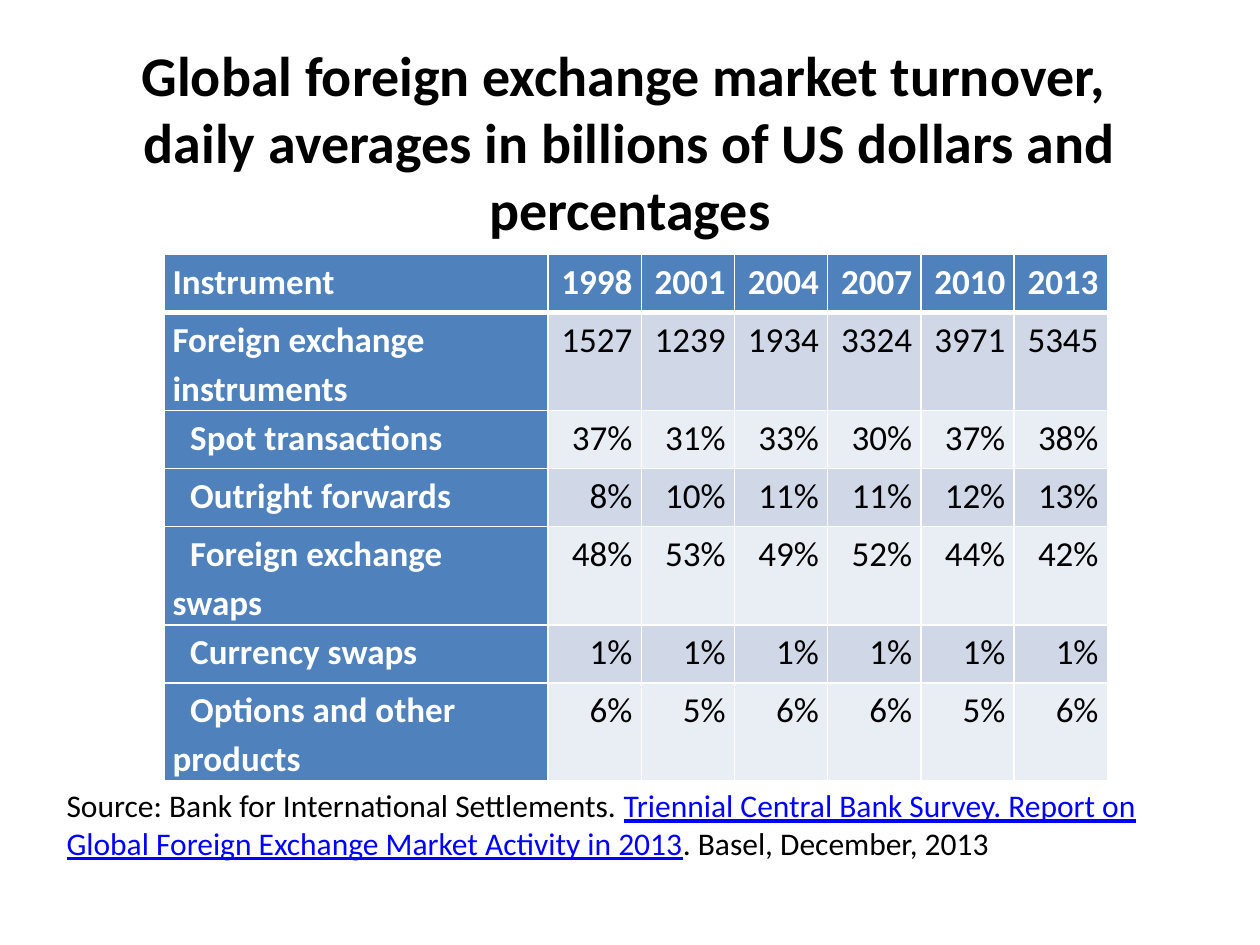
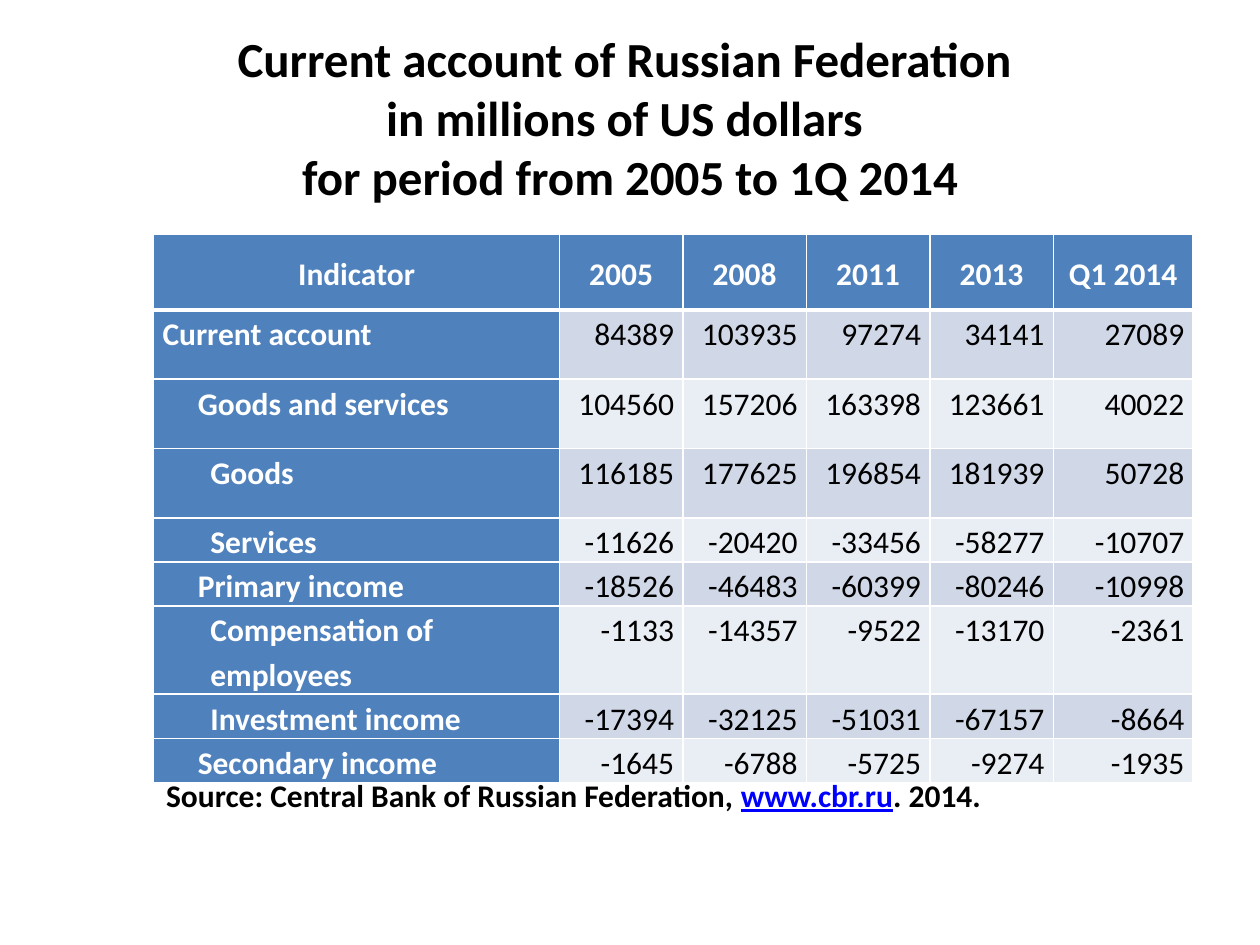
from dataclasses import dataclass

from lxml import etree
from pptx import Presentation
from pptx.dml.color import RGBColor
from pptx.enum.text import MSO_ANCHOR, PP_ALIGN
from pptx.oxml.ns import qn
from pptx.util import Inches, Pt

LEFT, MID, RIGHT = PP_ALIGN.LEFT, PP_ALIGN.CENTER, PP_ALIGN.RIGHT
TOP, CENTRE = MSO_ANCHOR.TOP, MSO_ANCHOR.MIDDLE


@dataclass(frozen=True)
class Theme:
    font: str = "Calibri"
    ink: str = "000000"
    white: str = "FFFFFF"
    head: str = "4F81BD"
    bands: tuple = ("D0D8E8", "E9EDF4")
    link: str = "0000FF"
    note: int = 18
    thin: int = 1
    thick: int = 3


T = Theme()


def write(frame, text, size=T.note, color=T.ink, bold=False, align=LEFT,
          space=1.0, left=0, first=0):
    """Fill a frame; text between bars is styled as a link, newlines break."""
    frame.word_wrap = True
    para = frame.paragraphs[0]
    para.alignment = align
    para.line_spacing = space
    props = para._p.get_or_add_pPr()
    props.set("marL", str(Inches(left)))
    props.set("indent", str(Inches(first)))
    for num, part in enumerate(text.split("|")):
        link = num % 2 == 1
        for row, line in enumerate(part.split("\n")):
            if row:
                para.add_line_break()
            run = para.add_run()
            run.text = line
            font = run.font
            font.name, font.size, font.bold = T.font, Pt(size), bold
            font.underline = link
            font.color.rgb = RGBColor.from_string(T.link if link else color)


def edge(cell, row):
    """Draw white cell borders, with a thick rule under the header row."""
    props = cell._tc.get_or_add_tcPr()
    for side in ("L", "R", "T", "B"):
        heavy = (row, side) in ((0, "B"), (1, "T"))
        line = etree.SubElement(props, qn(f"a:ln{side}"),
                                w=str(Pt(T.thick if heavy else T.thin)))
        fill = etree.SubElement(line, qn("a:solidFill"))
        etree.SubElement(fill, qn("a:srgbClr"), val=T.white)


# Each row holds its label, left margin, first-line indent, height and values.
forex = dict(
    title="Global foreign exchange market turnover, \n"
          "daily averages in billions of US dollars and percentages",
    title_size=32, title_high=1.64,
    at=(1.3, 2.02), cols=[3.05] + [0.74] * 6, size=20,
    head_align=(LEFT, RIGHT), head_anchor=TOP,
    rows=[
        ("Instrument", 0, 0, 0.46, "1998 2001 2004 2007 2010 2013".split()),
        ("Foreign exchange instruments", 0, 0, 0.78,
         "1527 1239 1934 3324 3971 5345".split()),
        ("Spot transactions", 0, 0.14, 0.46, "37% 31% 33% 30% 37% 38%".split()),
        ("Outright forwards", 0, 0.14, 0.46, "8% 10% 11% 11% 12% 13%".split()),
        ("Foreign exchange swaps", 0, 0.14, 0.78,
         "48% 53% 49% 52% 44% 42%".split()),
        ("Currency swaps", 0, 0.14, 0.46, ["1%"] * 6),
        ("Options and other products", 0, 0.14, 0.78,
         "6% 5% 6% 6% 5% 6%".split()),
    ],
    note="Source: Bank for International Settlements. |Triennial Central Bank "
         "Survey. Report on Global Foreign Exchange Market Activity in 2013|"
         ". Basel, December, 2013",
    note_at=(0.43, 6.19, 8.98, 0.71), note_bold=False)

account = dict(
    title="Current account of Russian Federation \n"
          "in millions of US dollars \nfor period from 2005 to 1Q 2014",
    title_size=28, title_high=1.25,
    at=(1.22, 1.86), cols=[3.22] + [0.98] * 4 + [1.11], size=18,
    head_align=(MID, MID), head_anchor=CENTRE,
    rows=[
        ("Indicator", 0, 0, 0.6, ["2005", "2008", "2011", "2013", "Q1 2014"]),
        ("Current account", 0, 0, 0.55,
         "84389 103935 97274 34141 27089".split()),
        ("Goods and services", 0, 0.28, 0.55,
         "104560 157206 163398 123661 40022".split()),
        ("Goods", 0.38, 0, 0.55, "116185 177625 196854 181939 50728".split()),
        ("Services", 0.38, 0, 0.35,
         "-11626 -20420 -33456 -58277 -10707".split()),
        ("Primary income", 0, 0.28, 0.35,
         "-18526 -46483 -60399 -80246 -10998".split()),
        ("Compensation of employees", 0.38, 0, 0.7,
         "-1133 -14357 -9522 -13170 -2361".split()),
        ("Investment income", 0.38, 0, 0.35,
         "-17394 -32125 -51031 -67157 -8664".split()),
        ("Secondary income", 0, 0.28, 0.35,
         "-1645 -6788 -5725 -9274 -1935".split()),
    ],
    note="Source: Central Bank of Russian Federation, |www.cbr.ru|. 2014.",
    note_at=(1.22, 6.11, 8.19, 0.4), note_bold=True)

deck = Presentation()
deck.slide_width, deck.slide_height = Inches(10), Inches(7.5)

for page in (forex, account):
    slide = deck.slides.add_slide(deck.slide_layouts[6])
    shapes = slide.shapes

    title = shapes.add_textbox(Inches(0.5), Inches(0.3), Inches(9),
                               Inches(page["title_high"])).text_frame
    title.vertical_anchor = CENTRE
    write(title, page["title"], size=page["title_size"], bold=True, align=MID)

    rows, cols = page["rows"], page["cols"]
    x, y = page["at"]
    high = sum(row[3] for row in rows)
    table = shapes.add_table(len(rows), len(cols), Inches(x), Inches(y),
                             Inches(sum(cols)), Inches(high)).table
    table.horz_banding = False
    for col, wide in zip(table.columns, cols):
        col.width = Inches(wide)

    for r, (label, left, first, tall, values) in enumerate(rows):
        table.rows[r].height = Inches(tall)
        for c, text in enumerate([label] + values):
            cell = table.cell(r, c)
            head = r == 0 or c == 0
            cell.margin_left = cell.margin_right = Inches(0.07)
            cell.margin_top = cell.margin_bottom = 0
            cell.vertical_anchor = page["head_anchor"] if r == 0 else TOP
            edge(cell, r)
            cell.fill.solid()
            shade = T.head if head else T.bands[(r - 1) % 2]
            cell.fill.fore_color.rgb = RGBColor.from_string(shade)
            aligns = page["head_align"] if r == 0 else (LEFT, RIGHT)
            write(cell.text_frame, text, size=page["size"], bold=head,
                  color=T.white if head else T.ink, align=aligns[c > 0],
                  space=1.15, left=0 if c else left, first=0 if c else first)

    note = shapes.add_textbox(*map(Inches, page["note_at"])).text_frame
    write(note, page["note"], bold=page["note_bold"])

deck.save("out.pptx")
